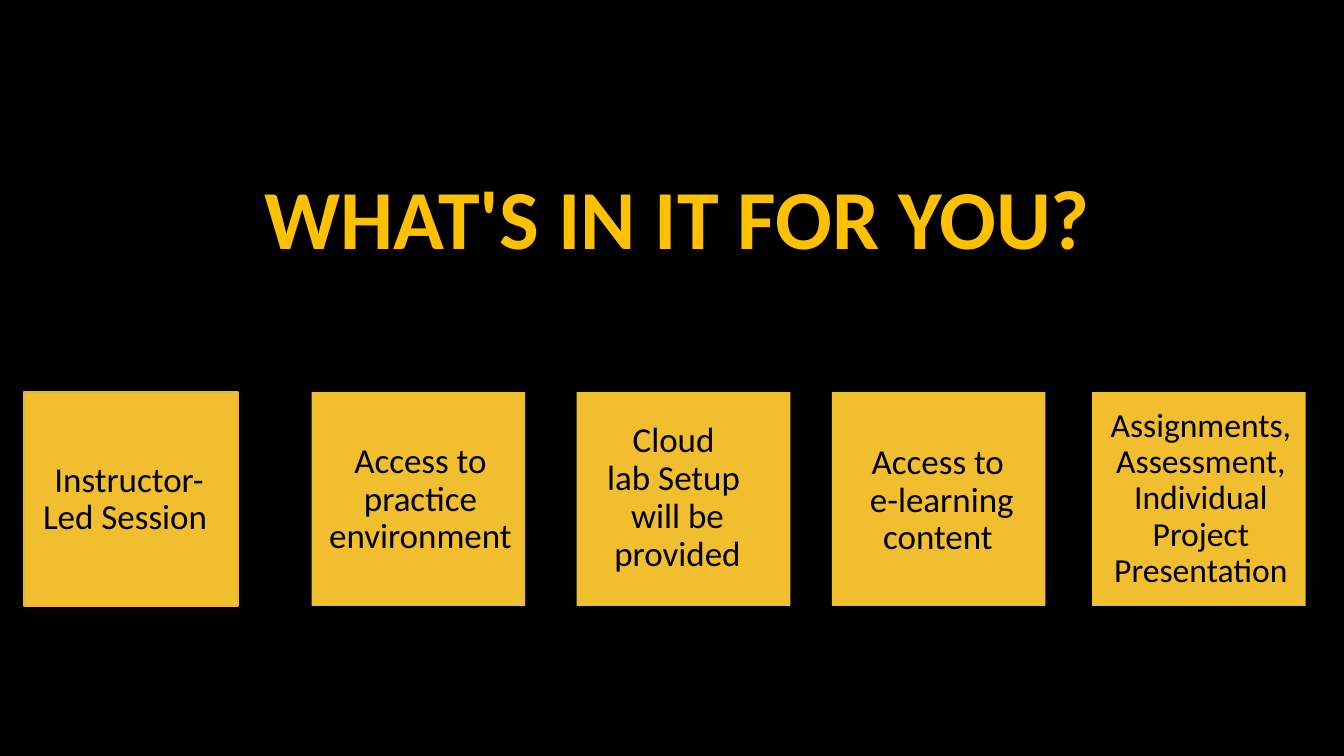
from pptx import Presentation
from pptx.dml.color import RGBColor
from pptx.enum.shapes import MSO_SHAPE
from pptx.enum.text import MSO_ANCHOR, PP_ALIGN
from pptx.util import Inches, Pt

RECTANGLE = MSO_SHAPE.RECTANGLE
MIDDLE, BOTTOM = MSO_ANCHOR.MIDDLE, MSO_ANCHOR.BOTTOM
CENTER = PP_ALIGN.CENTER
TITLE_ONLY = 5

COLORS = {
    "background": "000000",
    "title": "FFC000",
    "card": "F0BE2F",
    "card_edge": "F0B536",
    "text": "000000",
}

CARD_TOP, CARD_WIDTH, CARD_HEIGHT = 51.87, 15.9, 28.27

# Card left, card edge, label box (left, top, width, height), text size, paragraphs
BENEFITS = [
    (1.8, "card_edge", (2.7, 60.27, 13.8, 11.47), 25, ["Instructor-Led Session "]),
    (23.18, None, (23.33, 57.73, CARD_WIDTH, 16.53), 25,
     ["Access to practice environment"]),
    (42.91, None, (42.46, 57.6, CARD_WIDTH, 18.93), 25,
     ["Cloud ", "lab Setup ", "will be provided"]),
    (61.89, None, (62.12, 57.87, CARD_WIDTH, 16.53), 25,
     ["Access to ", "e-learning content "]),
    (81.25, None, (81.4, 59.73, CARD_WIDTH, 18.93), 24,
     ["Assignments, Assessment, Individual Project Presentation"]),
]


class SlideBuilder:
    """Places styled elements on a grid of 100 columns and 100 rows."""

    font_name = "Calibri"

    def __init__(self, presentation):
        self.column = presentation.slide_width / 100
        self.row = presentation.slide_height / 100
        self.slide = presentation.slides.add_slide(
            presentation.slide_layouts[TITLE_ONLY])
        background = self.slide.background.fill
        background.solid()
        background.fore_color.rgb = self.color("background")

    def color(self, name):
        return RGBColor.from_string(COLORS[name])

    def box(self, left, top, width, height):
        """Turn columns and rows into slide lengths."""
        return (round(left * self.column), round(top * self.row),
                round(width * self.column), round(height * self.row))

    def set_text(self, shape, paragraphs, size, color, anchor, bold=False):
        frame = shape.text_frame
        frame.word_wrap = True
        frame.vertical_anchor = anchor
        frame.margin_left = frame.margin_right = Inches(0.05)
        frame.text = "\n".join(paragraphs)
        for paragraph in frame.paragraphs:
            paragraph.alignment = CENTER
            paragraph.line_spacing = 0.9
            paragraph.space_before = Pt(0)
            paragraph.font.name = self.font_name
            paragraph.font.size = Pt(size)
            paragraph.font.bold = bold
            paragraph.font.color.rgb = self.color(color)

    def title(self, text, area, size):
        title = self.slide.shapes.title
        title.left, title.top, title.width, title.height = self.box(*area)
        self.set_text(title, [text], size, "title", MIDDLE, bold=True)

    def card(self, left, edge):
        card = self.slide.shapes.add_shape(
            RECTANGLE, *self.box(left, CARD_TOP, CARD_WIDTH, CARD_HEIGHT))
        card.shadow.inherit = False
        card.fill.solid()
        card.fill.fore_color.rgb = self.color("card")
        if edge:
            card.line.color.rgb = self.color(edge)
            card.line.width = Pt(1.5)
        else:
            card.line.fill.background()

    def label(self, paragraphs, area, size):
        label = self.slide.shapes.add_textbox(*self.box(*area))
        self.set_text(label, paragraphs, size, "text", BOTTOM)


def main():
    presentation = Presentation()
    presentation.slide_width = Inches(13.33)
    presentation.slide_height = Inches(7.5)
    builder = SlideBuilder(presentation)
    builder.title("WHAT'S IN IT FOR YOU?", (9, 22.53, 82.82, 13.87), 60)
    for left, edge, *_ in BENEFITS:
        builder.card(left, edge)
    for _, _, area, size, paragraphs in BENEFITS:
        builder.label(paragraphs, area, size)
    presentation.save("out.pptx")


if __name__ == "__main__":
    main()
